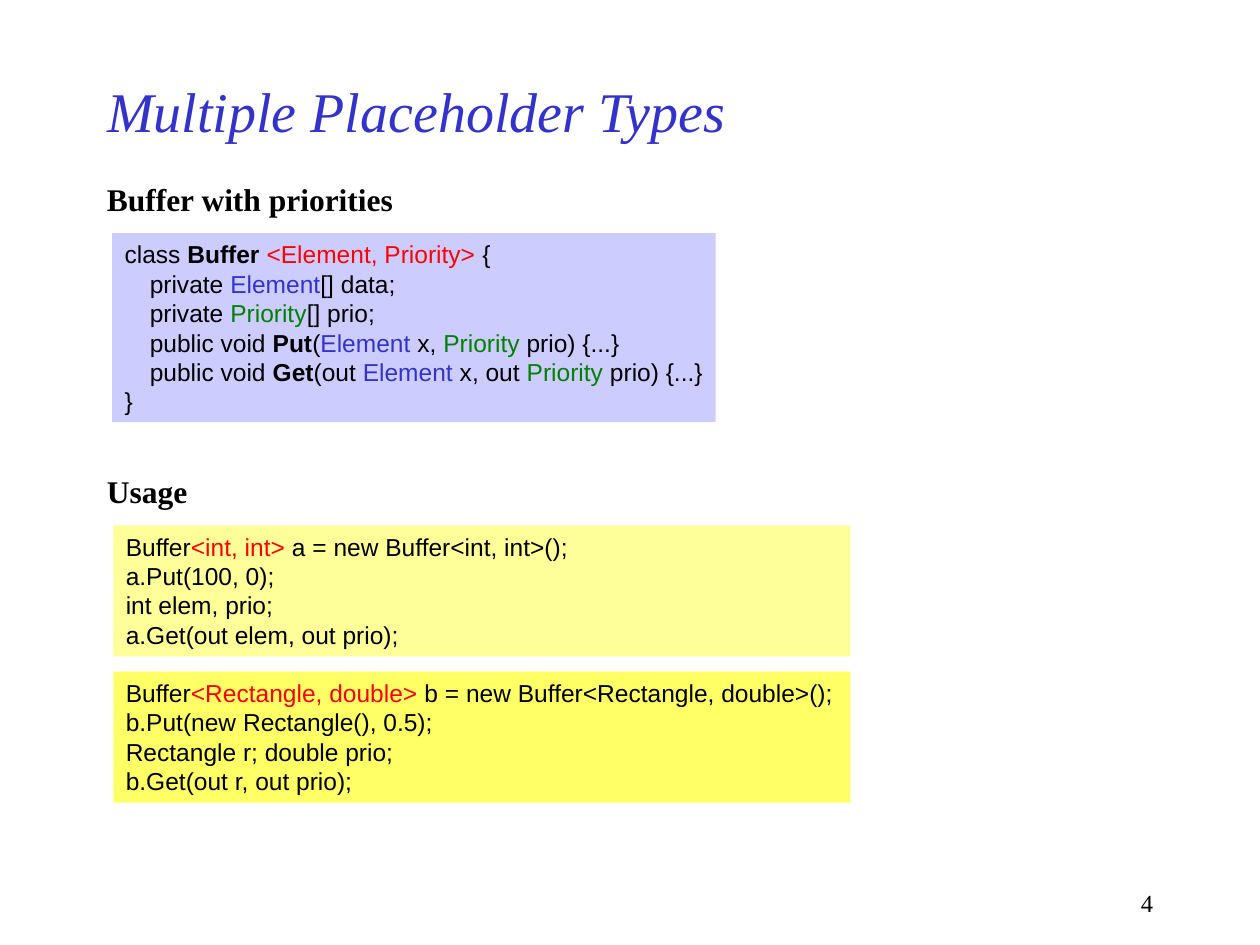
from dataclasses import dataclass

from lxml.etree import SubElement
from pptx import Presentation
from pptx.dml.color import RGBColor
from pptx.enum.shapes import MSO_SHAPE
from pptx.enum.text import MSO_ANCHOR, MSO_AUTO_SIZE, PP_ALIGN
from pptx.oxml.ns import qn
from pptx.util import Inches, Pt


@dataclass(frozen=True)
class Theme:
    """Colours, fonts and type sizes of the slide."""
    ink: str = "000000"
    blue: str = "3333CC"
    red: str = "FF0000"
    green: str = "008000"
    lilac: str = "CCCCFF"
    pale: str = "FFFF99"
    yellow: str = "FFFF66"
    serif: str = "Times New Roman"
    sans: str = "Arial"
    title: int = 32
    head: int = 18
    code: int = 14


THEME = Theme()
RED = {"color": THEME.red}
BLUE = {"color": THEME.blue}
GREEN = {"color": THEME.green}
BOLD = {"bold": True}
ELEM = ("Element", BLUE)
PRIO = ("Priority", GREEN)

CLASS = [
    ["class ", ("Buffer ", BOLD), ("<Element, Priority>", RED), " {"],
    ["\tprivate ", ELEM, "[] data;"],
    ["\tprivate ", PRIO, "[] prio;"],
    ["\tpublic void ", ("Put", BOLD), "(", ELEM, " x, ", PRIO, " prio) {...}"],
    ["\tpublic void ", ("Get", BOLD), "(out ", ELEM, " x, out ", PRIO, " prio) {...}"],
    ["}"],
]
INTS = [
    ["Buffer", ("<int, int>", RED), " a = new Buffer<int, int>();"],
    ["a.Put(100, 0);"],
    ["int elem, prio;"],
    ["a.Get(out elem, out prio);"],
]
RECTS = [
    ["Buffer", ("<Rectangle, double>", RED), " b = new Buffer<Rectangle, double>();"],
    ["b.Put(new Rectangle(), 0.5);"],
    ["Rectangle r; double prio;"],
    ["b.Get(out r, out prio);"],
]


def write(shape, lines, font=THEME.serif, size=THEME.code, color=THEME.ink, bold=False,
          italic=False, align=PP_ALIGN.LEFT, anchor=MSO_ANCHOR.TOP, wrap=True, tabs=()):
    """Fill a shape with lines of runs, each a string or a (string, format) pair."""
    frame = shape.text_frame
    frame.word_wrap = wrap
    frame.auto_size = MSO_AUTO_SIZE.NONE
    frame.vertical_anchor = anchor
    frame.margin_left = frame.margin_right = Inches(0.1)
    frame.margin_top = frame.margin_bottom = Inches(0.05)
    for row, line in enumerate(lines):
        para = frame.add_paragraph() if row else frame.paragraphs[0]
        para.alignment = align
        if tabs:
            stops = SubElement(para._p.get_or_add_pPr(), qn("a:tabLst"))
            for stop in tabs:
                SubElement(stops, qn("a:tab"), pos=str(Inches(stop)), algn="l")
        for part in line:
            text, style = (part, {}) if isinstance(part, str) else part
            run = para.add_run()
            run.text = text
            run.font.name = font
            run.font.size = Pt(size)
            run.font.bold = style.get("bold", bold)
            run.font.italic = italic
            run.font.color.rgb = RGBColor.from_string(style.get("color", color))


def add_title(slide, box, text):
    """Place and format the title placeholder."""
    title = slide.shapes.title
    title.left, title.top, title.width, title.height = map(Inches, box)
    write(title, [[text]], size=THEME.title, color=THEME.blue, italic=True,
          anchor=MSO_ANCHOR.MIDDLE)


def add_head(slide, box, text):
    """Add a bold section heading."""
    head = slide.shapes.add_textbox(*map(Inches, box))
    write(head, [[text]], size=THEME.head, bold=True, wrap=False)


def add_code(slide, box, lines, fill, wrap=True):
    """Add a filled panel of code."""
    panel = slide.shapes.add_shape(MSO_SHAPE.RECTANGLE, *map(Inches, box))
    panel.shadow.inherit = False
    panel.fill.solid()
    panel.fill.fore_color.rgb = RGBColor.from_string(fill)
    panel.line.fill.background()
    write(panel, lines, font=THEME.sans, wrap=wrap, tabs=(0.2, 0.42, 0.62))


def add_usage(slide, box):
    """Add the usage heading and its two evenly spaced examples."""
    left, top, width, height = box
    add_head(slide, (left, top, 0.84, 0.4), "Usage")
    tall, inset = 1.04, 0.15
    first, last = top + 0.47, top + height - tall
    for y, lines, fill in ((first, INTS, THEME.pale), (last, RECTS, THEME.yellow)):
        add_code(slide, (left + inset, y, width - inset, tall), lines, fill)


def add_number(slide, box, text):
    """Add the slide number at the right."""
    write(slide.shapes.add_textbox(*map(Inches, box)), [[text]], align=PP_ALIGN.RIGHT)


def main():
    """Build and save the slide."""
    deck = Presentation()
    deck.slide_width, deck.slide_height = Inches(10), Inches(7.5)
    slide = deck.slides.add_slide(deck.slide_layouts[5])
    add_number(slide, (7.17, 7, 2.08, 0.33), "4")
    add_title(slide, (0.75, 0.5, 7.5, 0.75), "Multiple Placeholder Types")
    add_head(slide, (0.75, 1.38, 2.47, 0.4), "Buffer with priorities")
    add_code(slide, (0.89, 1.85, 4.79, 1.5), CLASS, THEME.lilac, wrap=False)
    add_usage(slide, (0.75, 3.7, 6, 2.67))
    deck.save("out.pptx")


if __name__ == "__main__":
    main()
